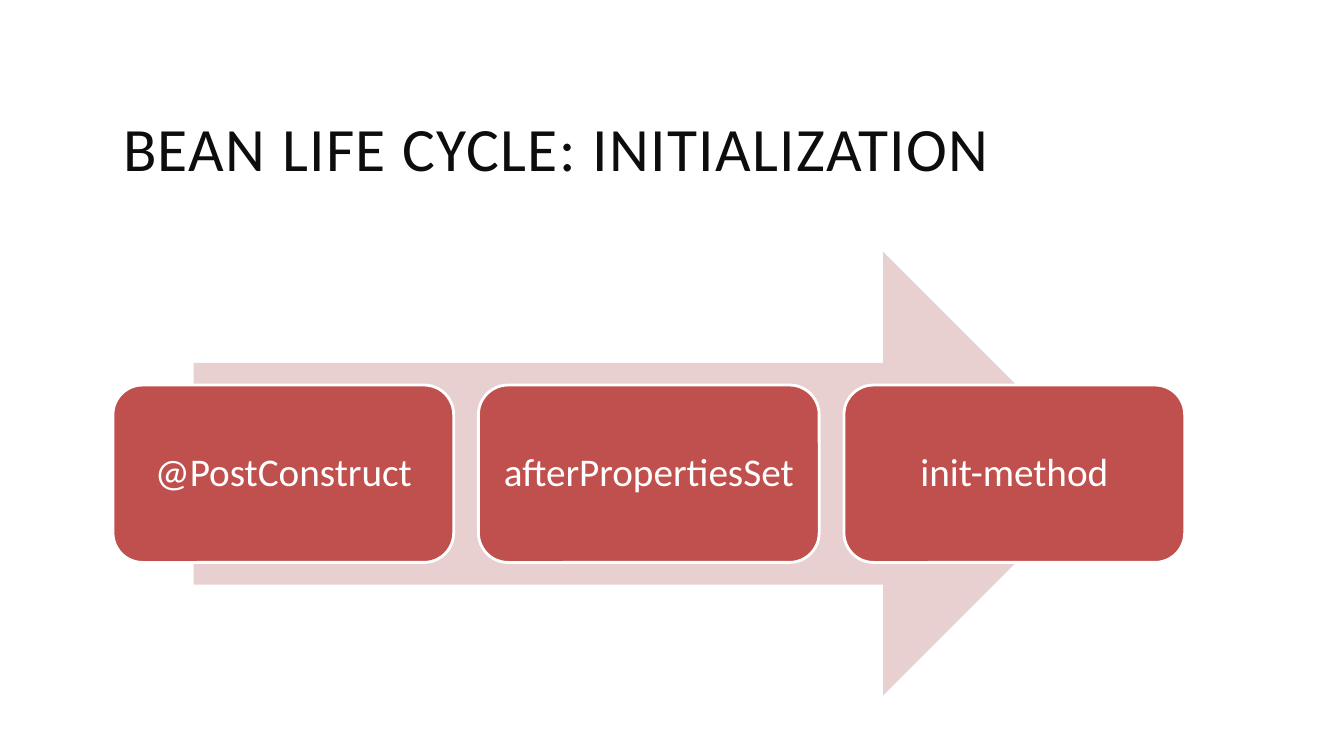
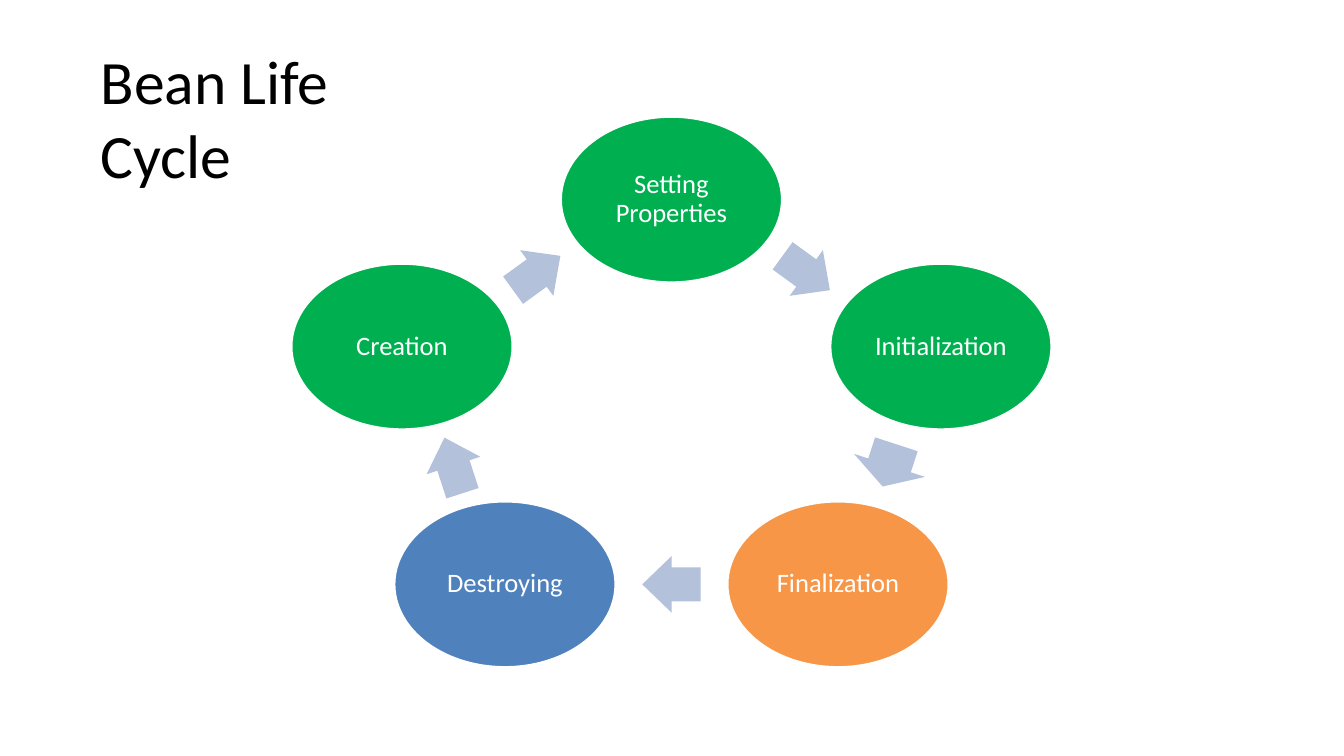
import math
from pptx import Presentation, util as u
from pptx.dml.color import RGBColor
from pptx.enum import shapes, text

PX = 9144
FONT = "Calibri"
WHITE, BLACK, INK = "FFFFFF", "000000", "0D0D0D"
RED, PINK = "C0504D", "E8D0D0"
GREEN, ORANGE, BLUE, PALE = "00B050", "F79646", "4F81BD", "B3C1DB"

INIT_TITLE = "BEAN LIFE CYCLE: INITIALIZATION"
INIT_STEPS = ["@PostConstruct", "afterPropertiesSet", "init-method"]
CYCLE_TITLE = "Bean Life Cycle"
SHORT, WIDE = (58, 56), (44, 74)
CYCLE_STAGES = [
    ("Setting Properties", GREEN, SHORT),
    ("Initialization", GREEN, WIDE),
    ("Finalization", ORANGE, SHORT),
    ("Destroying", BLUE, SHORT),
    ("Creation", GREEN, SHORT),
]


def px(length):
    return u.Emu(round(length * PX))


def color(value):
    return RGBColor.from_string(value)


def add_span(para, words, size, ink):
    span = para.add_run()
    span.text = words
    span.font.name = FONT
    span.font.size = u.Pt(size)
    span.font.color.rgb = color(ink)
    return span


def set_frame(frame, inset_x, inset_y, anchor):
    frame.word_wrap = True
    frame.auto_size = text.MSO_AUTO_SIZE.NONE
    frame.vertical_anchor = anchor
    frame.margin_left = frame.margin_right = px(inset_x)
    frame.margin_top = frame.margin_bottom = px(inset_y)


def add_page(deck, words, bounds, ink, insets, anchor, spacing=0):
    page = deck.slides.add_slide(deck.slide_layouts[5])
    title = page.shapes.title
    title.left, title.top, title.width, title.height = map(px, bounds)
    set_frame(title.text_frame, *insets, anchor)
    para = title.text_frame.paragraphs[0]
    para.alignment = text.PP_ALIGN.LEFT
    span = add_span(para, words, 44, ink)
    if spacing:
        span.font._element.set("spc", str(spacing * 100))
    return page


def add_box(page, kind, bounds, fill, outlined=False):
    box = page.shapes.add_shape(kind, *map(px, bounds))
    box.shadow.inherit = False
    box.fill.solid()
    box.fill.fore_color.rgb = color(fill)
    if outlined:
        box.line.color.rgb = color(WHITE)
        box.line.width = u.Pt(2)
    else:
        box.line.fill.background()
    return box


def add_label(box, words, size, inset):
    set_frame(box.text_frame, inset, inset, text.MSO_ANCHOR.MIDDLE)
    para = box.text_frame.paragraphs[0]
    para.alignment = text.PP_ALIGN.CENTER
    para.line_spacing = 0.9
    add_span(para, words, size, WHITE)


def build_initialization(deck):
    page = add_page(deck, INIT_TITLE, (112, 64, 1063, 164), INK,
                    (10, 5), text.MSO_ANCHOR.MIDDLE, spacing=1)
    add_box(page, shapes.MSO_SHAPE.RIGHT_ARROW, (192, 250, 904, 440), PINK)
    left, right, width = 112, 1175, 338
    step = (right - left - width) / (len(INIT_STEPS) - 1)
    for i, words in enumerate(INIT_STEPS):
        box = add_box(page, shapes.MSO_SHAPE.ROUNDED_RECTANGLE,
                      (left + i * step, 382, width, 176), RED, True)
        add_label(box, words, 28, 12)


def build_cycle(deck):
    page = add_page(deck, CYCLE_TITLE, (100, 43, 350, 76), BLACK,
                    (0, 0), text.MSO_ANCHOR.TOP)
    center_x, center_y, radius_x, radius_y = 666, 409, 281, 211
    oval_w, oval_h = 220, 165
    turn = 360 / len(CYCLE_STAGES)

    def stage_center(i):
        angle = math.radians(i * turn)
        return (center_x + radius_x * math.sin(angle),
                center_y - radius_y * math.cos(angle))

    for i, (words, fill, (length, breadth)) in enumerate(CYCLE_STAGES):
        x, y = stage_center(i)
        oval = add_box(page, shapes.MSO_SHAPE.OVAL,
                       (x - oval_w / 2, y - oval_h / 2, oval_w, oval_h), fill, True)
        add_label(oval, words, 19, 0)

        next_x, next_y = stage_center(i + 1)
        arrow = add_box(page, shapes.MSO_SHAPE.RIGHT_ARROW,
                        ((x + next_x - length) / 2, (y + next_y - breadth) / 2,
                         length, breadth), PALE)
        arrow.adjustments[0] = 0.6
        arrow.adjustments[1] = length / 2 / min(length, breadth)
        arrow.rotation = (i + 0.5) * turn


def main():
    deck = Presentation()
    deck.slide_width, deck.slide_height = px(1333), px(750)
    build_initialization(deck)
    build_cycle(deck)
    deck.save("out.pptx")


if __name__ == "__main__":
    main()
